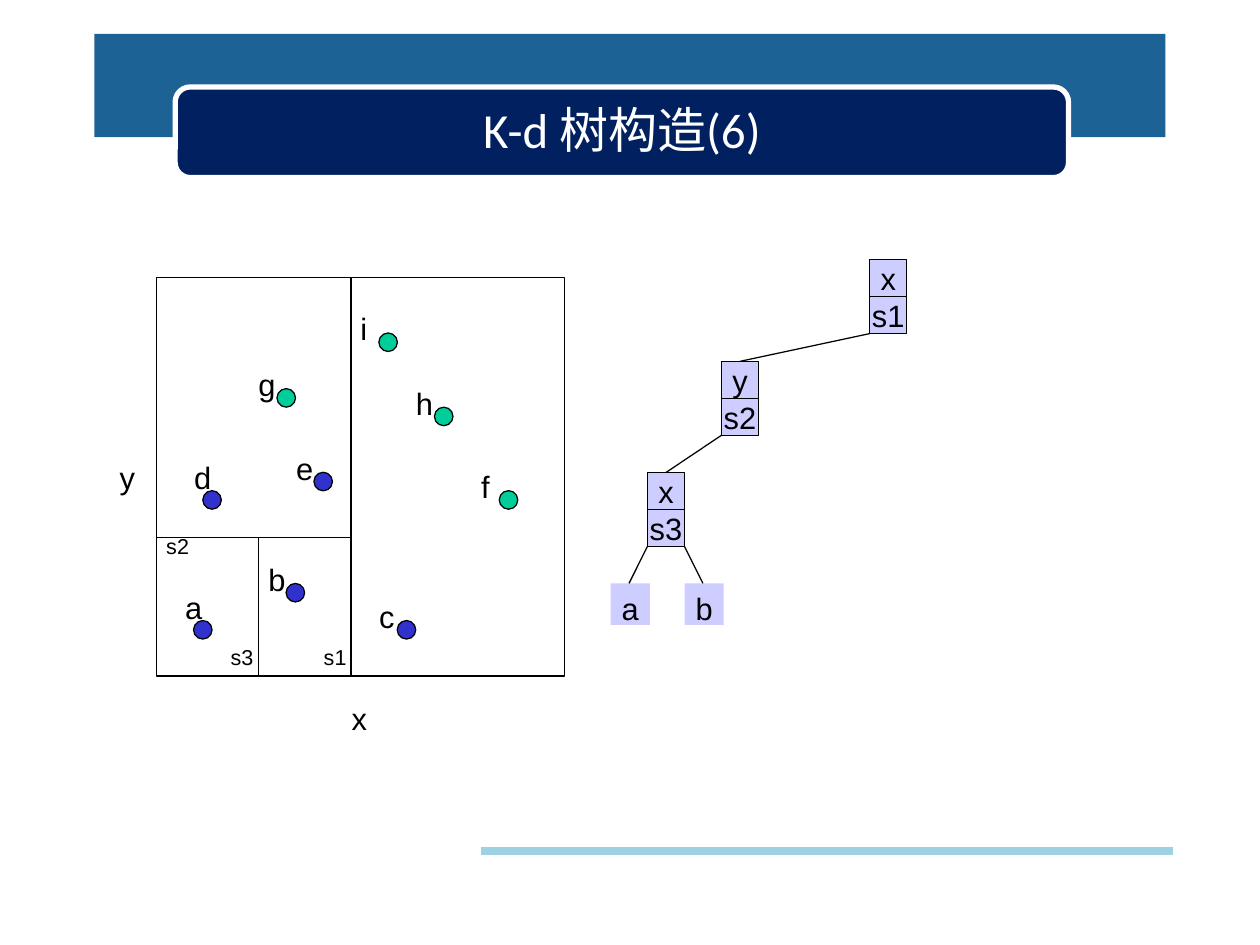
"""Build the slide that shows step 6 of constructing a k-d tree."""
import pptx
import pptx.dml.color
import pptx.enum.shapes
import pptx.enum.text
import pptx.util
from pptx.oxml import parse_xml

Pt = pptx.util.Pt
SHAPE = pptx.enum.shapes.MSO_SHAPE
ALIGN = pptx.enum.text.PP_ALIGN
ANCHOR = pptx.enum.text.MSO_ANCHOR

TITLE = "K-d 树构造(6)"
BLACK, WHITE = "000000", "FFFFFF"
OPEN, DONE, CELL = "00CD9A", "3131CD", "CDCDFF"
THIN, BODY, SMALL = 0.72, 17.6, 12.3
DOT, SIDE = 10.6, 21.12
LEAF_WIDTH, LEAF_HEIGHT = 22.4, 23.8

LEFT, TOP, RIGHT, BOTTOM = 89.5, 158.6, 322.6, 386.4
S1_X, S2_Y, S3_X = 200.6, 307, 147.8
SPLITS = [
    (S1_X, TOP, S1_X, BOTTOM),
    (LEFT, S2_Y, S1_X, S2_Y),
    (S3_X, S2_Y, S3_X, BOTTOM),
]
POINTS = [
    ("i", OPEN, (221.8, 195.6), (205.9, 177.1)),
    ("g", OPEN, (163.6, 227.4), (147.6, 208.8)),
    ("h", OPEN, (253.6, 238), (237.6, 219.6)),
    ("f", OPEN, (290.6, 285.7), (275, 267.1)),
    ("e", DONE, (184.7, 275.2), (169.2, 257)),
    ("d", DONE, (121.2, 285.7), (110.9, 262.1)),
    ("a", DONE, (115.9, 359.9), (105.8, 336.2)),
    ("b", DONE, (168.8, 338.7), (153.4, 320.4)),
    ("c", DONE, (232.3, 359.9), (216.7, 341.3)),
]
LABELS = [
    ("y", 68.4, 262.1, BODY),
    ("x", 200.9, 399.6, BODY),
    ("s1", 185, 367.9, SMALL),
    ("s2", 95, 304.6, SMALL),
    ("s3", 131.8, 367.9, SMALL),
]
NODES = [
    ("x", "s1", 497, 148.4),
    ("y", "s2", 412.3, 206.5),
    ("x", "s3", 370, 270),
]
LEAVES = [("a", 349), ("b", 391.2)]


def color(value):
    return pptx.dml.color.RGBColor.from_string(value)


def write(box, text, size, font="Arial", ink=BLACK, align=ALIGN.CENTER, anchor=ANCHOR.MIDDLE, top=0):
    frame = box.text_frame
    frame.word_wrap = False
    frame.margin_left = frame.margin_right = frame.margin_bottom = 0
    frame.margin_top = Pt(top)
    frame.vertical_anchor = anchor
    para = frame.paragraphs[0]
    para.alignment = align
    span = para.add_run()
    span.text = text
    span.font.size = Pt(size)
    span.font.name = font
    span.font.color.rgb = color(ink)
    return para


def add_box(slide, kind, left, top, width, height, fill=None, line=None, weight=THIN):
    box = slide.shapes.add_shape(kind, Pt(left), Pt(top), Pt(width), Pt(height))
    box.shadow.inherit = False
    if fill:
        box.fill.solid()
        box.fill.fore_color.rgb = color(fill)
    else:
        box.fill.background()
    if line:
        box.line.color.rgb = color(line)
        box.line.width = Pt(weight)
    else:
        box.line.fill.background()
    return box


def add_line(slide, x1, y1, x2, y2, ink=BLACK, weight=THIN):
    line = slide.shapes.add_connector(
        pptx.enum.shapes.MSO_CONNECTOR.STRAIGHT, Pt(x1), Pt(y1), Pt(x2), Pt(y2))
    line.line.color.rgb = color(ink)
    line.line.width = Pt(weight)
    line._element.spPr.append(parse_xml(
        '<a:effectLst xmlns:a="http://schemas.openxmlformats.org/drawingml/2006/main"/>'))


def add_label(slide, text, left, top, size):
    box = slide.shapes.add_textbox(Pt(left), Pt(top), Pt(size * 0.6 * len(text)), Pt(size * 1.2))
    write(box, text, size, align=ALIGN.LEFT, anchor=ANCHOR.TOP)


def add_frame(slide):
    add_box(slide, SHAPE.RECTANGLE, 54, 19.4, 612, 59, "1D6294")
    banner = add_box(slide, SHAPE.ROUNDED_RECTANGLE, 100.1, 49.7, 510.5, 51.8, "002060", WHITE, 3)
    write(banner, TITLE, 28, "Calibri", WHITE).line_spacing = 0.9
    add_line(slide, 275, 486.5, 670.3, 486.5, "9FD1E4", 4.5)


def add_plane(slide):
    add_box(slide, SHAPE.RECTANGLE, LEFT, TOP, RIGHT - LEFT, BOTTOM - TOP, line=BLACK)
    for split in SPLITS:
        add_line(slide, *split)
    for name, fill, (x, y), (left, top) in POINTS:
        add_box(slide, SHAPE.OVAL, x - DOT / 2, y - DOT / 2, DOT, DOT, fill, BLACK)
        add_label(slide, name, left, top, BODY)
    for label in LABELS:
        add_label(slide, *label)


def add_tree(slide):
    for axis, split, left, top in NODES:
        for row, text in enumerate((axis, split)):
            cell = add_box(slide, SHAPE.RECTANGLE, left, top + row * SIDE, SIDE, SIDE, CELL, BLACK)
            write(cell, text, BODY)
    for parent, child in zip(NODES, NODES[1:]):
        add_line(slide, parent[2], parent[3] + 2 * SIDE, child[2] + SIDE / 2, child[3])
    left, top = NODES[-1][2:]
    bottom = top + 2 * SIDE
    leaf_top = bottom + SIDE
    for side, (name, leaf_left) in enumerate(LEAVES):
        leaf = add_box(slide, SHAPE.RECTANGLE, leaf_left, leaf_top, LEAF_WIDTH, LEAF_HEIGHT, CELL)
        write(leaf, name, BODY, anchor=ANCHOR.TOP, top=3.6)
        corner = left + side * SIDE
        add_line(slide, corner, bottom, corner + (side - 0.5) * SIDE, leaf_top)


def main():
    deck = pptx.Presentation()
    deck.slide_width, deck.slide_height = Pt(720), Pt(540)
    slide = deck.slides.add_slide(deck.slide_layouts[6])
    add_frame(slide)
    add_plane(slide)
    add_tree(slide)
    deck.save("out.pptx")


if __name__ == "__main__":
    main()
